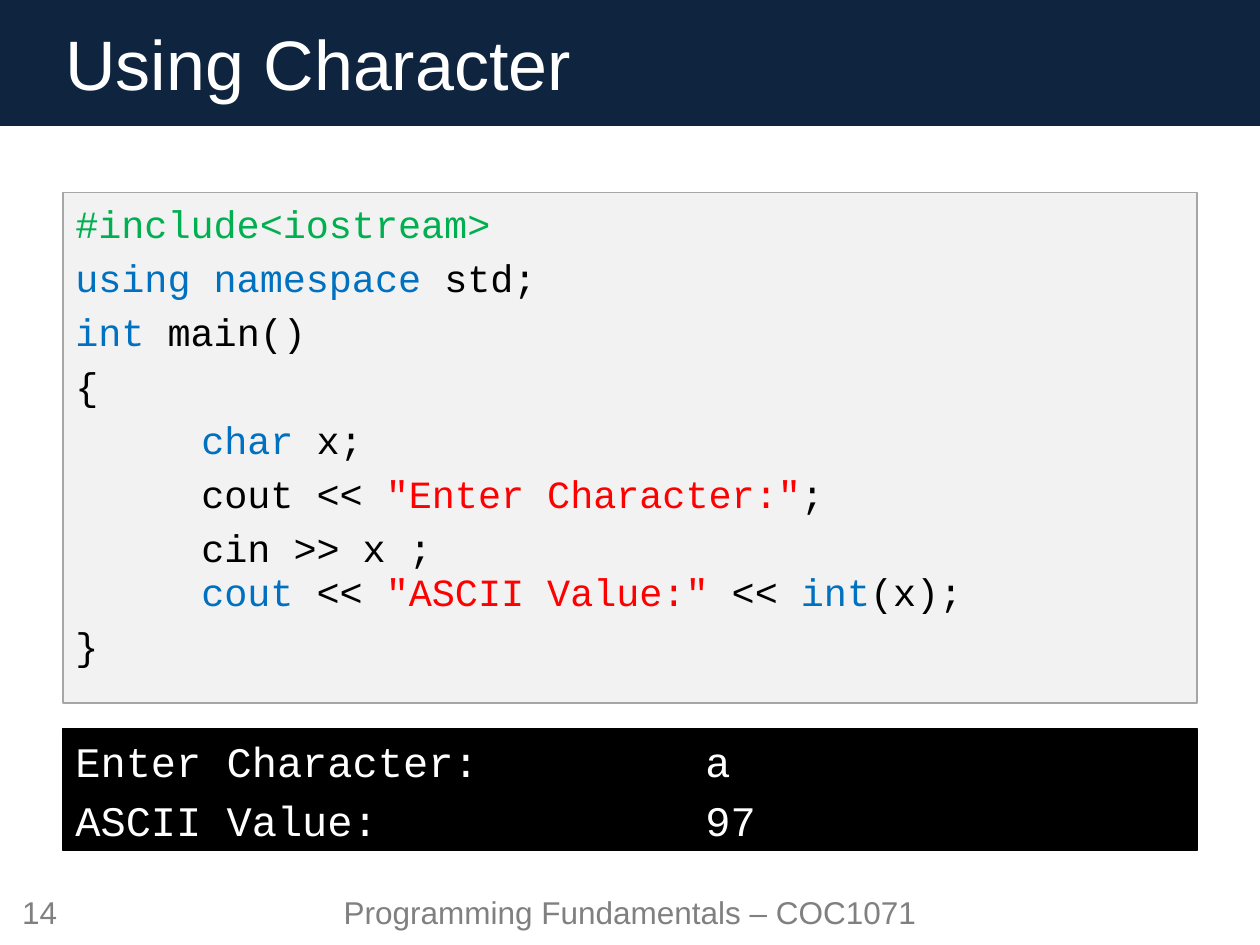
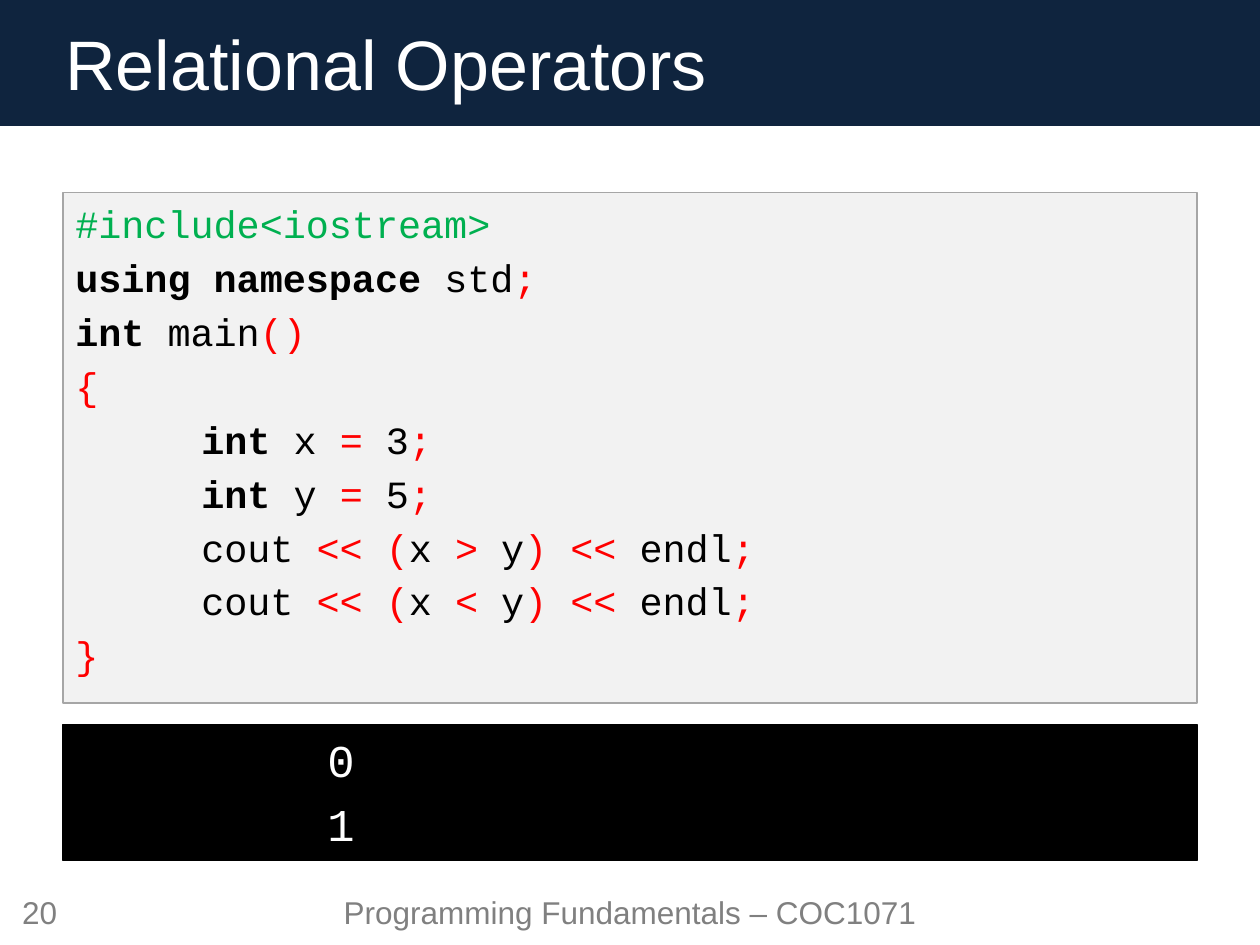
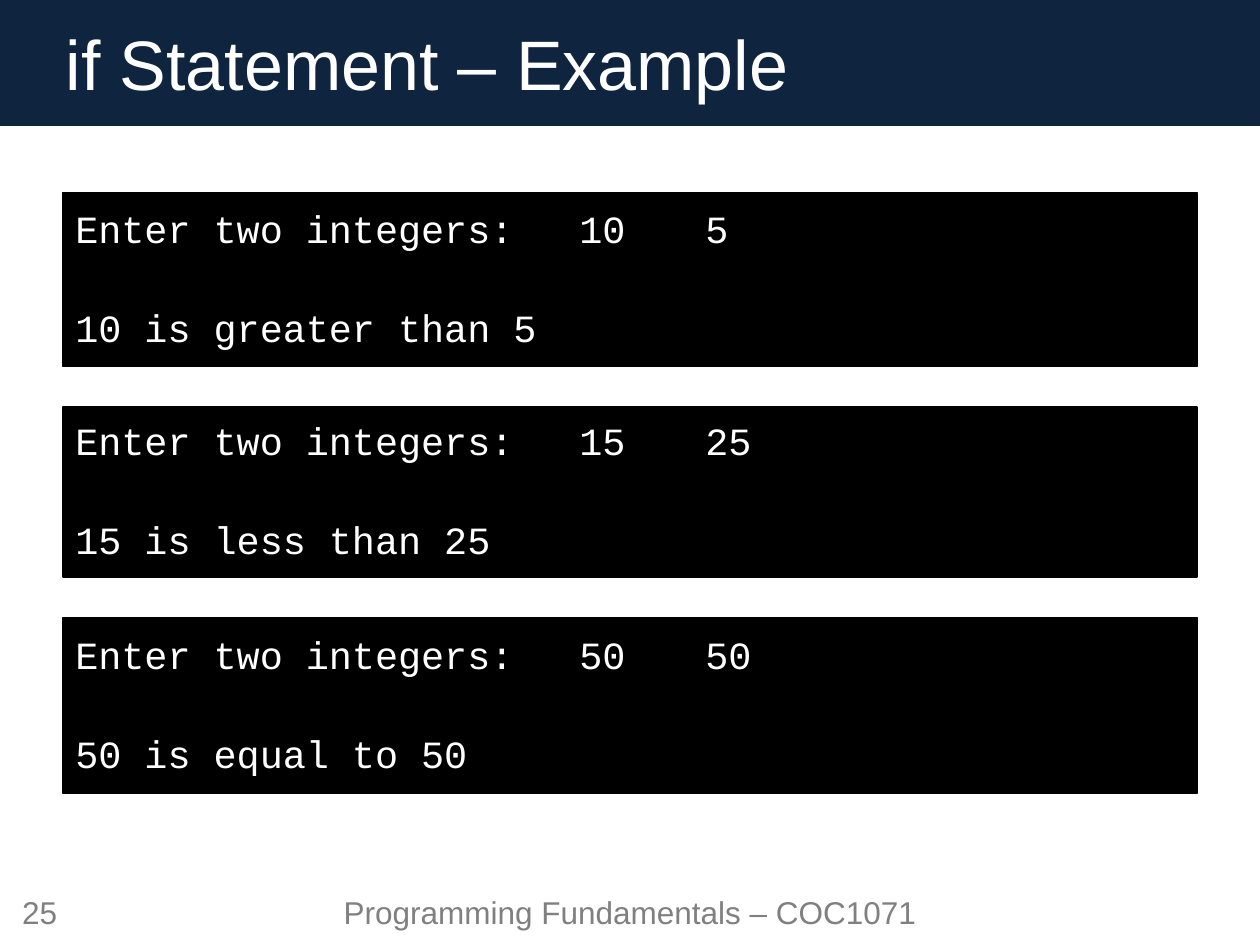
"""Build three programming slides with code panels and console output."""
from dataclasses import dataclass

from pptx import Presentation
from pptx.dml.color import RGBColor
from pptx.enum.shapes import MSO_SHAPE
from pptx.enum.text import MSO_ANCHOR, PP_ALIGN
from pptx.util import Inches, Pt

RECT = MSO_SHAPE.RECTANGLE
TOP, MIDDLE = MSO_ANCHOR.TOP, MSO_ANCHOR.MIDDLE
LEFT, CENTER = PP_ALIGN.LEFT, PP_ALIGN.CENTER


@dataclass(frozen=True)
class Theme:
    """Colours, fonts and sizes shared by all slides."""
    navy: str = "0F243E"
    white: str = "FFFFFF"
    black: str = "000000"
    panel: str = "F2F2F2"
    edge: str = "A6A6A6"
    gray: str = "808080"
    green: str = "00B050"
    blue: str = "0070C0"
    red: str = "FF0000"
    sans: str = "Arial"
    mono: str = "Courier New"
    head: float = 40
    foot: float = 18
    code: float = 22
    gap: float = 0.2
    skip: float = 1.49
    tab: float = 1


THEME = Theme()
FOOTER = "Programming Fundamentals – COC1071"
STYLES = {
    "plain": (THEME.black, False),
    "include": (THEME.green, False),
    "type": (THEME.blue, False),
    "sign": (THEME.red, False),
    "bold": (THEME.black, True),
    "out": (THEME.white, False),
}
PANEL = (0.5, 1.53, 9, 4.05)

CHAR_CODE = [
    [("#include<iostream>", "include")],
    [("using namespace ", "type"), ("std;", "plain")],
    [("int ", "type"), ("main()", "plain")],
    [("{", "plain")],
    [("\tchar", "type"), (" x;", "plain")],
    [("\tcout << ", "plain"), ('"Enter Character:"', "sign"), (";", "plain")],
    [("\tcin >> x ;", "plain")],
    [("\tcout ", "type"), ("<< ", "plain"), ('"ASCII Value:" ', "sign"),
     ("<< ", "plain"), ("int", "type"), ("(x);", "plain")],
    [("}", "plain")],
]


def declare(name, value):
    """Return the code line that declares an integer."""
    return [("\tint", "bold"), (f" {name} ", "plain"), ("=", "sign"),
            (f" {value}", "plain"), (";", "sign")]


def compare(sign):
    """Return the code line that prints a comparison of x and y."""
    return [("\tcout ", "plain"), ("<< (", "sign"), ("x ", "plain"),
            (sign, "sign"), (" y", "plain"), (") << ", "sign"),
            ("endl", "plain"), (";", "sign")]


RELATION_CODE = [
    [("#include<iostream>", "include")],
    [("using namespace ", "bold"), ("std", "plain"), (";", "sign")],
    [("int", "bold"), (" main", "plain"), ("()", "sign")],
    [("{", "sign")],
    declare("x", 3),
    declare("y", 5),
    compare(">"),
    compare("<"),
    [("}", "sign")],
]


def style(font, name, size, color, bold=False):
    """Set the look of a font."""
    font.name, font.size, font.bold = name, Pt(size), bold
    font.color.rgb = RGBColor.from_string(color)


def paint(shape, fill, edge=None):
    """Fill a shape and give it a thin edge or none."""
    shape.fill.solid()
    shape.fill.fore_color.rgb = RGBColor.from_string(fill)
    if edge:
        shape.line.color.rgb = RGBColor.from_string(edge)
        shape.line.width = Pt(0.75)
    else:
        shape.line.fill.background()


def add_rect(slide, box, fill, edge=None):
    """Add a flat rectangle."""
    shape = slide.shapes.add_shape(RECT, *map(Inches, box))
    shape.shadow.inherit = False
    paint(shape, fill, edge)
    return shape


def add_label(slide, box, text):
    """Add a centred footer label."""
    label = slide.shapes.add_textbox(*map(Inches, box))
    frame = label.text_frame
    frame.word_wrap, frame.vertical_anchor = True, MIDDLE
    frame.text = text
    para = frame.paragraphs[0]
    para.alignment = CENTER
    style(para.runs[0].font, THEME.sans, THEME.foot, THEME.gray)


def add_lines(shape, lines, size, anchor=TOP, gap=THEME.gap):
    """Write styled lines into a shape and return the paragraphs."""
    frame = shape.text_frame
    frame.word_wrap, frame.vertical_anchor = True, anchor
    frame.margin_top = Inches(0.06)
    for order, line in enumerate(lines):
        para = frame.add_paragraph() if order else frame.paragraphs[0]
        para.alignment = LEFT
        para._p.get_or_add_pPr().set("defTabSz", str(Inches(THEME.tab)))
        if order:
            para.space_before = Pt(gap * size)
        for text, kind in line:
            run = para.add_run()
            run.text = text
            style(run.font, THEME.mono, size, *STYLES[kind])
    return frame.paragraphs


def add_code(slide, box, lines):
    """Add a light panel of source code."""
    panel = add_rect(slide, box, THEME.panel, THEME.edge)
    return add_lines(panel, lines, THEME.code)


def add_console(slide, box, lines, size, anchor=TOP, gap=THEME.gap):
    """Add a black panel of program output."""
    panel = add_rect(slide, box, THEME.black, THEME.black)
    return add_lines(panel, [[(line, "out")] for line in lines],
                     size, anchor, gap)


def add_slide(deck, text, number):
    """Add a slide with title band and footer."""
    slide = deck.slides.add_slide(deck.slide_layouts[5])
    title = slide.shapes.title
    band = add_rect(slide, (0, 0, 10, 1), THEME.navy)
    title.element.addprevious(band.element)
    title.left, title.top, title.width, title.height = map(
        Inches, (0.42, 0, 9.17, 1))
    paint(title, THEME.navy)
    frame = title.text_frame
    frame.text = text
    frame.vertical_anchor = MIDDLE
    frame.paragraphs[0].alignment = LEFT
    style(frame.paragraphs[0].runs[0].font, THEME.sans, THEME.head,
          THEME.white)
    add_label(slide, (2.25, 7, 5.5, 0.47), FOOTER)
    add_label(slide, (0, 7, 0.63, 0.47), str(number))
    return slide


def char_slide(deck):
    """Build the slide on characters."""
    slide = add_slide(deck, "Using Character", 14)
    paras = add_code(slide, PANEL, CHAR_CODE)
    paras[-2].line_spacing = 0.8
    add_console(slide, (0.5, 5.78, 9, 0.97),
                ["Enter Character:\t\ta", "ASCII Value:\t\t\t97"], 24)


def relation_slide(deck):
    """Build the slide on relational operators."""
    slide = add_slide(deck, "Relational Operators", 20)
    add_code(slide, PANEL, RELATION_CODE)
    add_console(slide, (0.5, 5.75, 9, 1.08), ["\t\t0", "\t\t1"], 26)


def if_slide(deck):
    """Build the slide with three runs of the if example."""
    slide = add_slide(deck, "if Statement – Example", 25)
    cases = [
        (1.53, 1.38, 10, 5, "greater than"),
        (3.23, 1.35, 15, 25, "less than"),
        (4.9, 1.4, 50, 50, "equal to"),
    ]
    for top, height, first, second, result in cases:
        lines = [f"Enter two integers:\t{first}\t{second}",
                 f"{first} is {result} {second}"]
        paras = add_console(slide, (0.5, top, 9, height), lines,
                            THEME.code, MIDDLE, THEME.skip)
        for para in paras:
            para.line_spacing = 0.9


def main():
    """Build and save the deck."""
    deck = Presentation()
    deck.slide_width, deck.slide_height = Inches(10), Inches(7.5)
    char_slide(deck)
    relation_slide(deck)
    if_slide(deck)
    deck.save("out.pptx")


if __name__ == "__main__":
    main()
